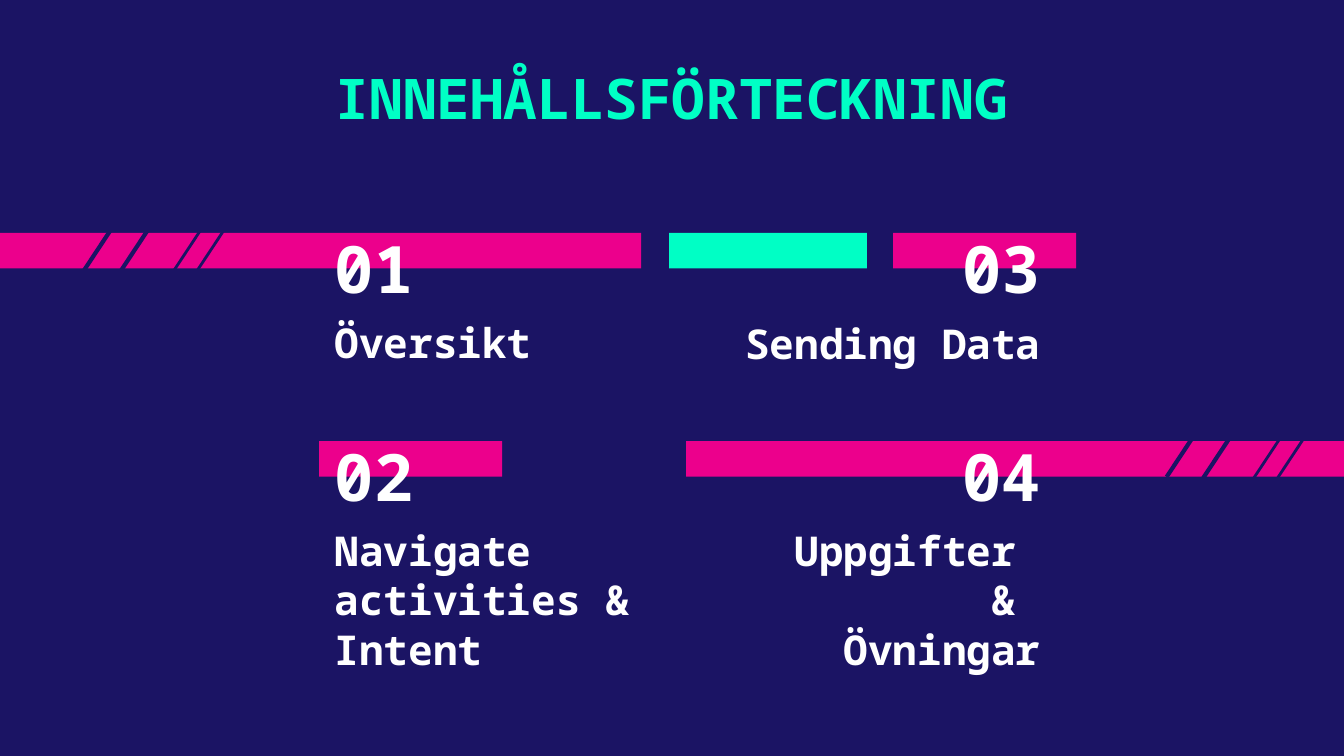
from lxml.etree import SubElement
from pptx import Presentation
from pptx.dml.color import RGBColor
from pptx.enum.shapes import MSO_CONNECTOR, MSO_SHAPE
from pptx.enum.text import MSO_ANCHOR, PP_ALIGN
from pptx.oxml.ns import qn
from pptx.util import Pt

NAVY = RGBColor(0x1B, 0x14, 0x64)
PINK = RGBColor(0xEC, 0x00, 0x8C)
MINT = RGBColor(0x00, 0xFF, 0xC5)
WHITE = RGBColor(0xFF, 0xFF, 0xFF)
FONT = "Noto Sans Mono"
NUMBER_W, NUMBER_H, LABEL_H = 170.5, 19, 34
BAR_H = 19


def add_text(s, text, x, y, w, h, size=22, color=WHITE, align=PP_ALIGN.LEFT,
             anchor=MSO_ANCHOR.TOP, inset=0):
    """Add a text box holding one formatted paragraph."""
    tf = s.shapes.add_textbox(Pt(x), Pt(y), Pt(w), Pt(h)).text_frame
    tf.word_wrap = True
    tf.vertical_anchor = anchor
    tf.margin_left = tf.margin_right = Pt(7.2)
    tf.margin_top = tf.margin_bottom = Pt(inset)
    p = tf.paragraphs[0]
    p.text = text
    p.alignment = align
    for r in p.runs:
        r.font.name, r.font.size, r.font.bold = FONT, Pt(size), True
        r.font.color.rgb = color


def add_bar(s, x, y, w, color=PINK):
    """Add one flat horizontal bar."""
    sp = s.shapes.add_shape(MSO_SHAPE.RECTANGLE, Pt(x), Pt(y), Pt(w), Pt(BAR_H))
    sp.shadow.inherit = False
    sp.fill.solid()
    sp.fill.fore_color.rgb = color
    sp.line.fill.background()


def add_slash(s, x, y, weight):
    """Add a diagonal cut running down and left from its top end."""
    c = s.shapes.add_connector(MSO_CONNECTOR.STRAIGHT,
                               Pt(x), Pt(y), Pt(x - 41), Pt(y + 62))
    c.line.color.rgb = NAVY
    c.line.width = Pt(weight)
    SubElement(c._element.spPr, qn("a:effectLst"))


def add_section(s, x, y, w, number, label, align=PP_ALIGN.LEFT):
    """Add a section number with its label below, sharing one aligned edge."""
    number_x = x if align == PP_ALIGN.LEFT else x + w - NUMBER_W
    add_text(s, number, number_x, y, NUMBER_W, NUMBER_H, size=35,
             align=align, anchor=MSO_ANCHOR.BOTTOM)
    add_text(s, label, x, y + 25, w, LABEL_H, align=align)


def build_contents(s):
    """Fill the table of contents slide."""
    s.background.fill.solid()
    s.background.fill.fore_color.rgb = NAVY
    upper, lower = 124.8, 236.4
    for x, y, w, color in ((0, upper, 343.5, PINK), (478.5, upper, 98, PINK),
                           (171, lower, 98, PINK), (367.5, lower, 352.5, PINK),
                           (358.5, upper, 106, MINT)):
        add_bar(s, x, y, w, color)
    add_text(s, "INNEHÅLLSFÖRTECKNING", 101, 26.8, 518, 52.5, size=30,
             color=MINT, align=PP_ALIGN.CENTER, inset=7.2)
    right = PP_ALIGN.RIGHT
    add_section(s, 172.3, 145.2, 170.5, "01", "Översikt")
    add_section(s, 337.7, 145.4, 226.8, "03", "Sending Data", right)
    add_section(s, 172.3, 256.6, 243.4, "02", "Navigate activities & Intent")
    add_section(s, 394, 256.6, 170.5, "04", "Uppgifter \v& \vÖvningar", right)
    for x, y, weight in ((74, 101, 2.25), (86, 113, 2.25),
                         (110, 119.5, 1.5), (122.5, 119.5, 1.5),
                         (666, 193.5, 2.25), (677.7, 206, 2.25),
                         (689.3, 229.5, 1.5), (702, 229.5, 1.5)):
        add_slash(s, x, y, weight)


def main():
    """Build and save the presentation."""
    prs = Presentation()
    prs.slide_width, prs.slide_height = Pt(720), Pt(405)
    build_contents(prs.slides.add_slide(prs.slide_layouts[6]))
    prs.save("out.pptx")


if __name__ == "__main__":
    main()
